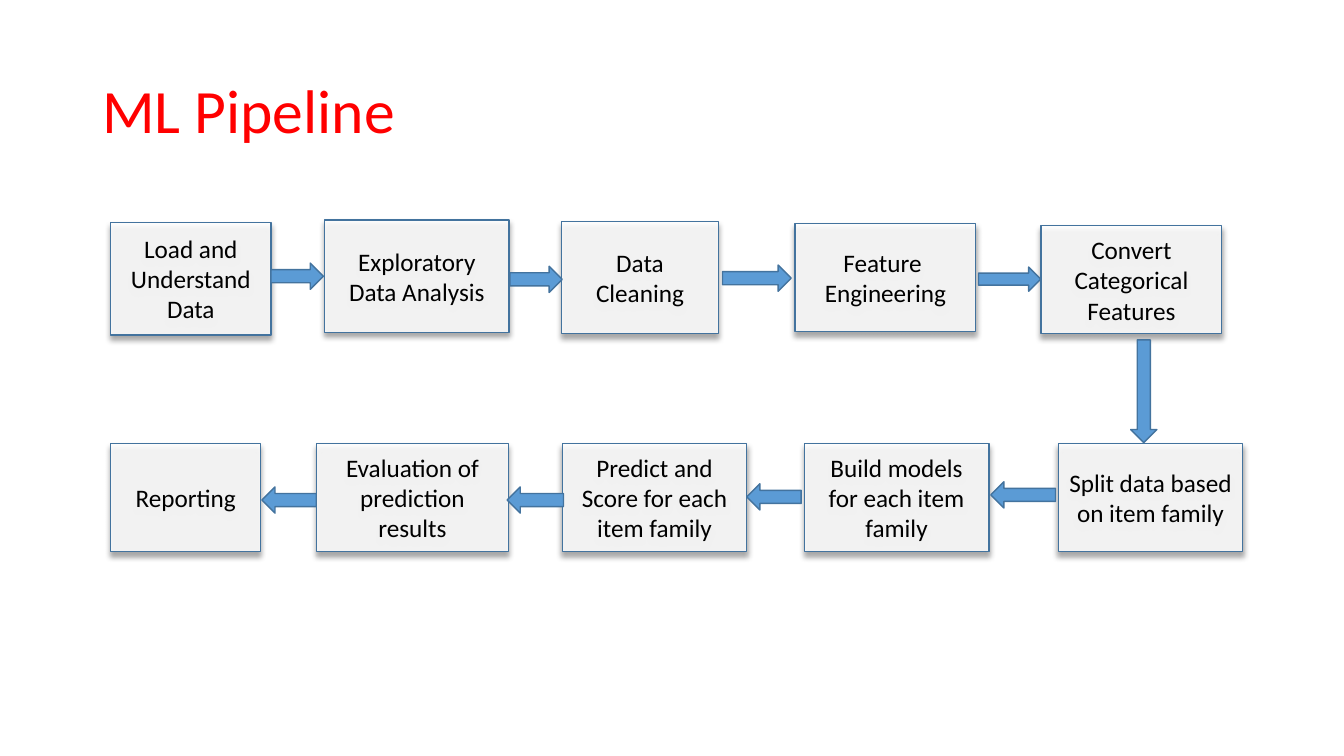
"""Build the ML Pipeline slide: ten process steps joined by block arrows."""
from dataclasses import dataclass

import lxml.etree
import pptx
import pptx.dml.color
import pptx.enum.shapes
import pptx.enum.text
import pptx.oxml.ns
import pptx.shapes.autoshape
import pptx.slide
import pptx.text.text
import pptx.util

Cm = pptx.util.Cm
Pt = pptx.util.Pt
RGBColor = pptx.dml.color.RGBColor
Shapes = pptx.enum.shapes.MSO_SHAPE
Align = pptx.enum.text.PP_ALIGN
qn = pptx.oxml.ns.qn

RED = RGBColor(0xFF, 0x00, 0x00)
BLACK = RGBColor(0x00, 0x00, 0x00)
WHITE = RGBColor(0xFF, 0xFF, 0xFF)
BLUE = RGBColor(0x5B, 0x9B, 0xD5)
OUTLINE = RGBColor(0x43, 0x73, 0x9E)
FONT = "Calibri"


@dataclass(frozen=True)
class Step:
    text: str
    left: float
    top: float
    width: float
    height: float = 2.72


@dataclass(frozen=True)
class Arrow:
    left: float
    top: float
    width: float
    height: float = 0.66
    rotation: int = 0


LOWER_TOP = 11.18
STEPS = (
    Step("Load and Understand\nData", 2.79, 5.6, 4.04, 2.84),
    Step("Exploratory Data Analysis", 8.18, 5.54, 4.65, 2.84),
    Step("Data\nCleaning", 14.15, 5.59, 3.96, 2.82),
    Step("Feature \nEngineering", 20.04, 5.64, 4.55),
    Step("Convert Categorical Features", 26.24, 5.69, 4.55),
    Step("Split data based on item family", 26.67, LOWER_TOP, 4.65),
    Step("Build models for each item family", 20.27, LOWER_TOP, 4.65),
    Step("Predict and Score for each item family", 14.17, LOWER_TOP, 4.65),
    Step("Evaluation of\nprediction results", 7.98, LOWER_TOP, 4.83),
    Step("Reporting", 2.79, LOWER_TOP, 3.78),
)
ARROWS = (
    Arrow(6.83, 6.63, 1.32),
    Arrow(12.85, 6.71, 1.32),
    Arrow(18.21, 6.68, 1.73),
    Arrow(24.66, 6.73, 1.57, 0.61),
    Arrow(27.53, 9.53, 2.59, rotation=90),
    Arrow(24.97, 12.14, 1.63, rotation=180),
    Arrow(18.82, 12.19, 1.37, rotation=180),
    Arrow(12.78, 12.27, 1.42, rotation=180),
    Arrow(6.6, 12.27, 1.37, rotation=180),
)


def write_text(frame: pptx.text.text.TextFrame, text: str, *, size: int,
               color: RGBColor, align: Align, line_spacing: float = 1.0) -> None:
    """Fill a frame with one formatted paragraph per line of text."""
    frame.word_wrap = True
    frame.vertical_anchor = pptx.enum.text.MSO_ANCHOR.MIDDLE
    for index, line in enumerate(text.split("\n")):
        para = frame.add_paragraph() if index else frame.paragraphs[0]
        para.alignment = align
        para.line_spacing = line_spacing
        span = para.add_run()
        span.text = line
        span.font.name = FONT
        span.font.size = Pt(size)
        span.font.color.rgb = color


def add_block(page: pptx.slide.Slide, kind: Shapes, place: Step | Arrow,
              fill: RGBColor) -> pptx.shapes.autoshape.Shape:
    """Add a filled, outlined shape without a shadow."""
    block = page.shapes.add_shape(kind, Cm(place.left), Cm(place.top),
                                  Cm(place.width), Cm(place.height))
    block.fill.solid()
    block.fill.fore_color.rgb = fill
    block.line.color.rgb = OUTLINE
    block.line.width = Pt(1)
    block.shadow.inherit = False
    return block


def add_alpha(color: lxml.etree._Element, percent: int) -> None:
    """Set the opacity of a colour element."""
    lxml.etree.SubElement(color, qn("a:alpha"), val=str(percent * 1000))


def add_step(page: pptx.slide.Slide, step: Step) -> None:
    """Draw a translucent process box with a soft shadow below it."""
    box = add_block(page, Shapes.FLOWCHART_PROCESS, step, WHITE)
    properties = box._element.spPr
    add_alpha(properties.find(qn("a:solidFill")).find(qn("a:srgbClr")), 85)
    shadow = lxml.etree.SubElement(
        properties.find(qn("a:effectLst")), qn("a:outerShdw"),
        blurRad=str(Pt(4)), dist=str(Pt(3)), dir="5400000", rotWithShape="0")
    add_alpha(lxml.etree.SubElement(shadow, qn("a:srgbClr"), val=str(BLACK)), 40)
    write_text(box.text_frame, step.text, size=18, color=BLACK, align=Align.CENTER)


def add_arrow(page: pptx.slide.Slide, arrow: Arrow) -> None:
    """Draw a block arrow turned to its direction."""
    block = add_block(page, Shapes.RIGHT_ARROW, arrow, BLUE)
    block.rotation = arrow.rotation


def main() -> None:
    """Build and save the deck."""
    deck = pptx.Presentation()
    deck.slide_width, deck.slide_height = Cm(33.87), Cm(19.05)
    page = deck.slides.add_slide(deck.slide_layouts[6])
    title = page.shapes.add_textbox(Cm(2.33), Cm(1.01), Cm(29.21), Cm(3.68))
    write_text(title.text_frame, "ML Pipeline", size=44, color=RED,
               align=Align.LEFT, line_spacing=0.9)
    for step in STEPS:
        add_step(page, step)
    for arrow in ARROWS:
        add_arrow(page, arrow)
    deck.save("out.pptx")


if __name__ == "__main__":
    main()
